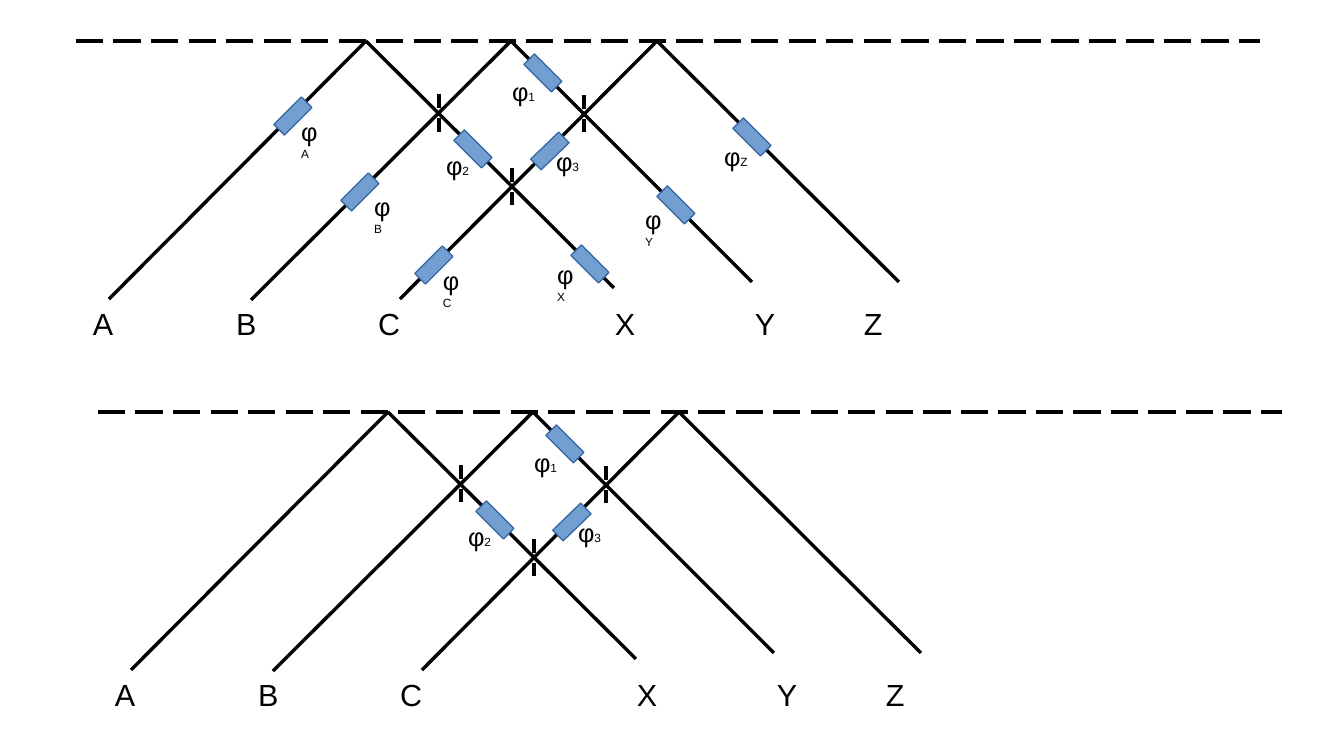
from lxml.etree import SubElement
from pptx import Presentation
from pptx.dml.color import RGBColor
from pptx.enum.dml import MSO_LINE
from pptx.enum.shapes import MSO_CONNECTOR, MSO_SHAPE
from pptx.enum.text import MSO_AUTO_SIZE
from pptx.oxml.ns import qn
from pptx.util import Pt

PX = 914400 / 122  # EMU in one px

AXIS = (76, 41, 1260, 41)
BEAMS = [
    (109, 299, 366, 41), (614, 288, 366, 41), (251, 300, 511, 41),
    (400, 299, 657, 41), (752, 282, 511, 41), (899, 282, 657, 41),
]
SPLITTERS = [(439, 94), (584, 95), (512, 168)]  # top ends
SPLITTER_HEIGHT = 39
PORTS = {"A": 81, "B": 224, "C": 366, "X": 603, "Y": 743, "Z": 852}
PORT_TOP = 299

# name: centre of the phase shifter, rotation, left and top of its label
INNER_PHASES = {
    "1": (543, 73, 45, 500, 70),
    "2": (473, 149, 45, 434, 144),
    "3": (550, 151, 316, 544, 140),
}
OUTER_PHASES = {
    "A": (293, 116, 315, 289, 110),
    "B": (360, 192, 315, 362, 185),
    "C": (434, 265, 315, 431, 259),
    "X": (590, 264, 45, 545, 253),
    "Y": (676, 205, 45, 633, 198),
    "Z": (752, 137, 45, 712, 135),
}
SHIFTER_WIDTH, SHIFTER_HEIGHT = 39, 15

# offset of each diagram and the phases it shows
DIAGRAMS = [(0, 0, OUTER_PHASES | INNER_PHASES), (22, 371, INNER_PHASES)]


def color(value):
    return RGBColor.from_string(value)


def emu(*lengths):
    """Turn px into EMU."""
    return [round(length * PX) for length in lengths]


presentation = Presentation()
presentation.slide_width, presentation.slide_height = emu(1344, 756)
slide = presentation.slides.add_slide(presentation.slide_layouts[6])
shapes = slide.shapes

for dx, dy, phases in DIAGRAMS:
    lines = [(AXIS, MSO_LINE.LONG_DASH)]
    lines += [(beam, None) for beam in BEAMS]
    lines += [((x, y, x, y + SPLITTER_HEIGHT), MSO_LINE.DASH) for x, y in SPLITTERS]
    for (x1, y1, x2, y2), dash in lines:
        connector = shapes.add_connector(
            MSO_CONNECTOR.STRAIGHT, *emu(x1 + dx, y1 + dy, x2 + dx, y2 + dy))
        connector.line.color.rgb = color("000000")
        connector.line.width = Pt(0)
        connector.line.dash_style = dash
        SubElement(connector._element.spPr, qn("a:effectLst"))

    for x, y, rotation, *_ in phases.values():
        shifter = shapes.add_shape(MSO_SHAPE.RECTANGLE, *emu(
            x + dx - SHIFTER_WIDTH / 2, y + dy - SHIFTER_HEIGHT / 2,
            SHIFTER_WIDTH, SHIFTER_HEIGHT))
        shifter.rotation = rotation
        shifter.shadow.inherit = False
        shifter.fill.solid()
        shifter.fill.fore_color.rgb = color("729FCF")
        shifter.line.color.rgb = color("3465A4")
        shifter.line.width = Pt(0)

    # each label: left, top, width, height, wrap, runs as (text, size)
    labels = [(left, top, 48, 40, False, [("φ", 15), (name, 7)])
              for name, (*_, left, top) in phases.items()]
    labels += [(left, PORT_TOP, 67, 46, True, [(name, 18)])
               for name, left in PORTS.items()]
    for left, top, width, height, wrap, runs in labels:
        label = shapes.add_textbox(*emu(left + dx, top + dy, width, height))
        label.text_frame.word_wrap = wrap
        label.text_frame.auto_size = MSO_AUTO_SIZE.SHAPE_TO_FIT_TEXT
        paragraph = label.text_frame.paragraphs[0]
        for text, size in runs:
            run = paragraph.add_run()
            run.text = text
            run.font.name = "Arial"
            run.font.size = Pt(size)
            run.font.color.rgb = color("000000")

presentation.save("out.pptx")
